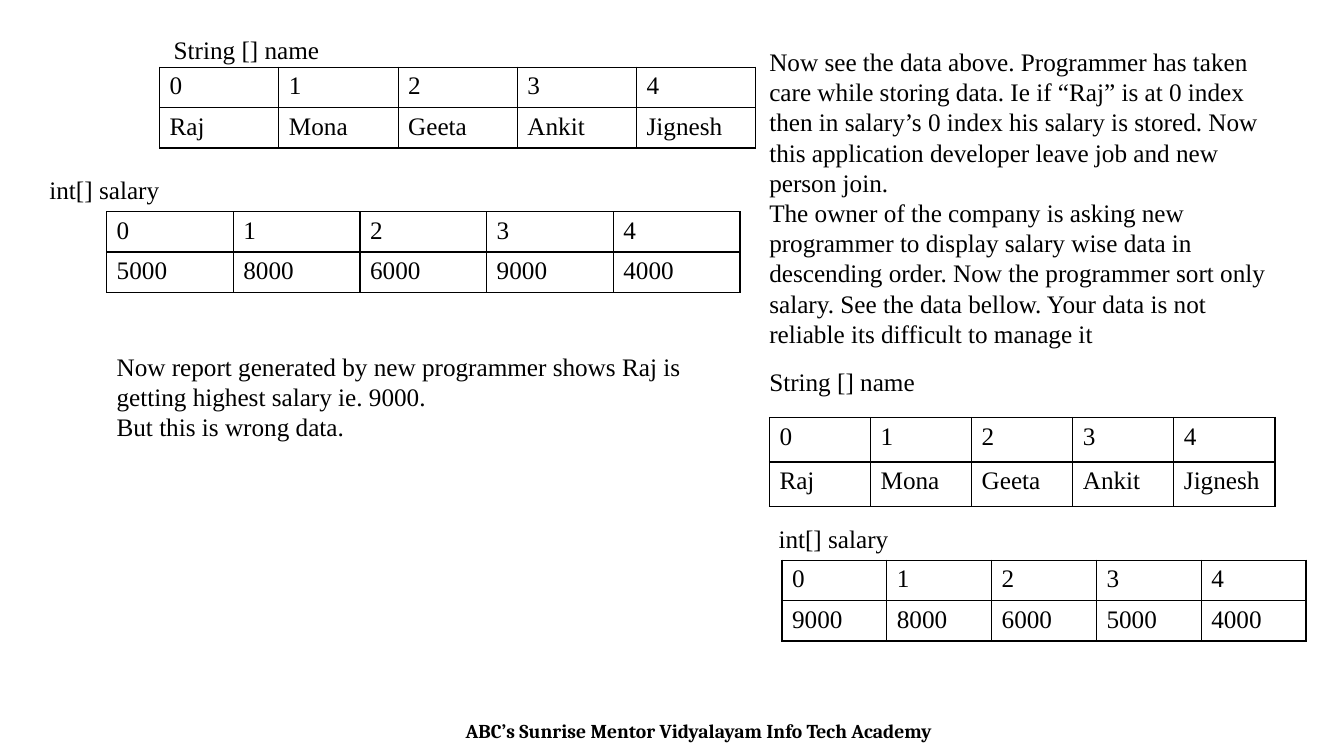
from lxml import etree
from pptx import Presentation
from pptx.dml.color import RGBColor
from pptx.enum.text import PP_ALIGN
from pptx.oxml.ns import qn
from pptx.util import Inches, Pt

BLACK = RGBColor(0x00, 0x00, 0x00)
LEFT, CENTER = PP_ALIGN.LEFT, PP_ALIGN.CENTER
BODY_FONT, FOOTER_FONT = "Times New Roman", "Cambria"
SLIDE_WIDTH, SLIDE_HEIGHT = Inches(13.33), Inches(7.5)
GRID_COLUMNS, GRID_ROWS = 160, 90
BORDER_WIDTH = Pt(1)

NAMES = ["Raj", "Mona", "Geeta", "Ankit", "Jignesh"]
SALARIES = ["5000", "8000", "6000", "9000", "4000"]
SORTED_SALARIES = sorted(SALARIES, reverse=True)
NAME_LABEL, SALARY_LABEL = "String [] name", "int[] salary"
EXPLANATION = [
    "Now see the data above. Programmer has taken care while storing data. "
    "Ie if “Raj” is at 0 index then in salary’s 0 index his salary is stored. "
    "Now this application developer leave job and new person join.",
    "The owner of the company is asking new programmer to display salary wise "
    "data in descending order. Now the programmer sort only salary. See the "
    "data bellow. Your data is not reliable its difficult to manage it",
]
CONCLUSION = [
    "Now report generated by new programmer shows Raj is getting highest "
    "salary ie. 9000.",
    "But this is wrong data.",
]
FOOTER = "ABC’s Sunrise Mentor Vidyalayam Info Tech Academy"


def across(columns):
    return round(SLIDE_WIDTH * columns / GRID_COLUMNS)


def down(rows):
    return round(SLIDE_HEIGHT * rows / GRID_ROWS)


def format_text(frame, font_name=BODY_FONT, size=18, bold=False, align=LEFT):
    for paragraph in frame.paragraphs:
        paragraph.alignment = align
        for run in paragraph.runs:
            run.font.name = font_name
            run.font.size = Pt(size)
            run.font.bold = bold
            run.font.color.rgb = BLACK


def add_text(slide, column, row, width, height, paragraphs, **style):
    box = slide.shapes.add_textbox(
        across(column), down(row), across(width), down(height))
    frame = box.text_frame
    frame.word_wrap = True
    frame.text = "\n".join(paragraphs)
    format_text(frame, **style)


def outline_cell(cell):
    properties = cell._tc.get_or_add_tcPr()
    for side in ("a:lnL", "a:lnR", "a:lnT", "a:lnB"):
        line = etree.SubElement(properties, qn(side), w=str(BORDER_WIDTH))
        fill = etree.SubElement(line, qn("a:solidFill"))
        etree.SubElement(fill, qn("a:srgbClr"), val=str(BLACK))


def add_array(slide, column, row, width, values, row_height=4.8):
    """Draw an array as a row of indexes above a row of values."""
    array_rows = [[str(index) for index in range(len(values))], values]
    table = slide.shapes.add_table(
        len(array_rows), len(values), across(column), down(row),
        across(width), down(row_height * len(array_rows))).table
    table.first_row = False
    table.horz_banding = False
    for table_row, texts in zip(table.rows, array_rows):
        for cell, text in zip(table_row.cells, texts):
            cell.text = text
            format_text(cell.text_frame)
            outline_cell(cell)
            cell.fill.background()


def main():
    presentation = Presentation()
    presentation.slide_width = SLIDE_WIDTH
    presentation.slide_height = SLIDE_HEIGHT
    slide = presentation.slides.add_slide(presentation.slide_layouts[6])

    add_text(slide, 7.2, 85, 152, 4.1, [FOOTER],
             font_name=FOOTER_FONT, size=14, bold=True, align=CENTER)

    add_text(slide, 19.5, 3.5, 27.5, 4.9, [NAME_LABEL])
    add_array(slide, 19, 8, 71, NAMES)
    add_text(slide, 4.7, 20.2, 27.5, 4.9, [SALARY_LABEL])
    add_array(slide, 12.7, 25.2, 75.4, SALARIES)
    add_text(slide, 12.7, 41.2, 72.2, 19.4, CONCLUSION)

    add_text(slide, 90.4, 4.9, 62.4, 37.6, EXPLANATION)
    add_text(slide, 90.4, 43, 27.5, 4.9, [NAME_LABEL])
    add_array(slide, 91.6, 49.7, 60.2, NAMES, row_height=5.3)
    add_text(slide, 91.5, 61.7, 21.1, 4.8, [SALARY_LABEL])
    add_array(slide, 93.1, 66.7, 62.4, SORTED_SALARIES)

    presentation.save("out.pptx")


if __name__ == "__main__":
    main()
